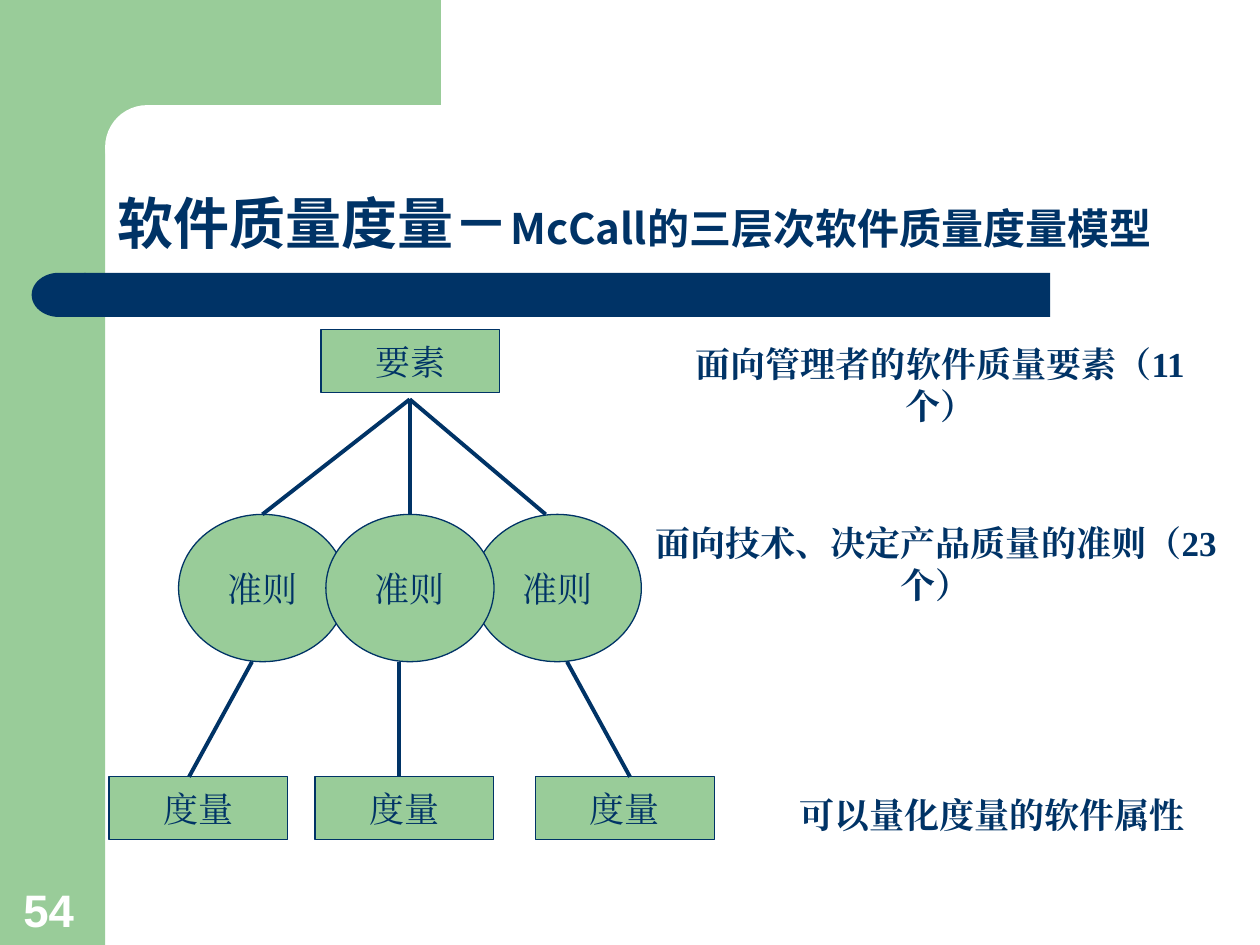
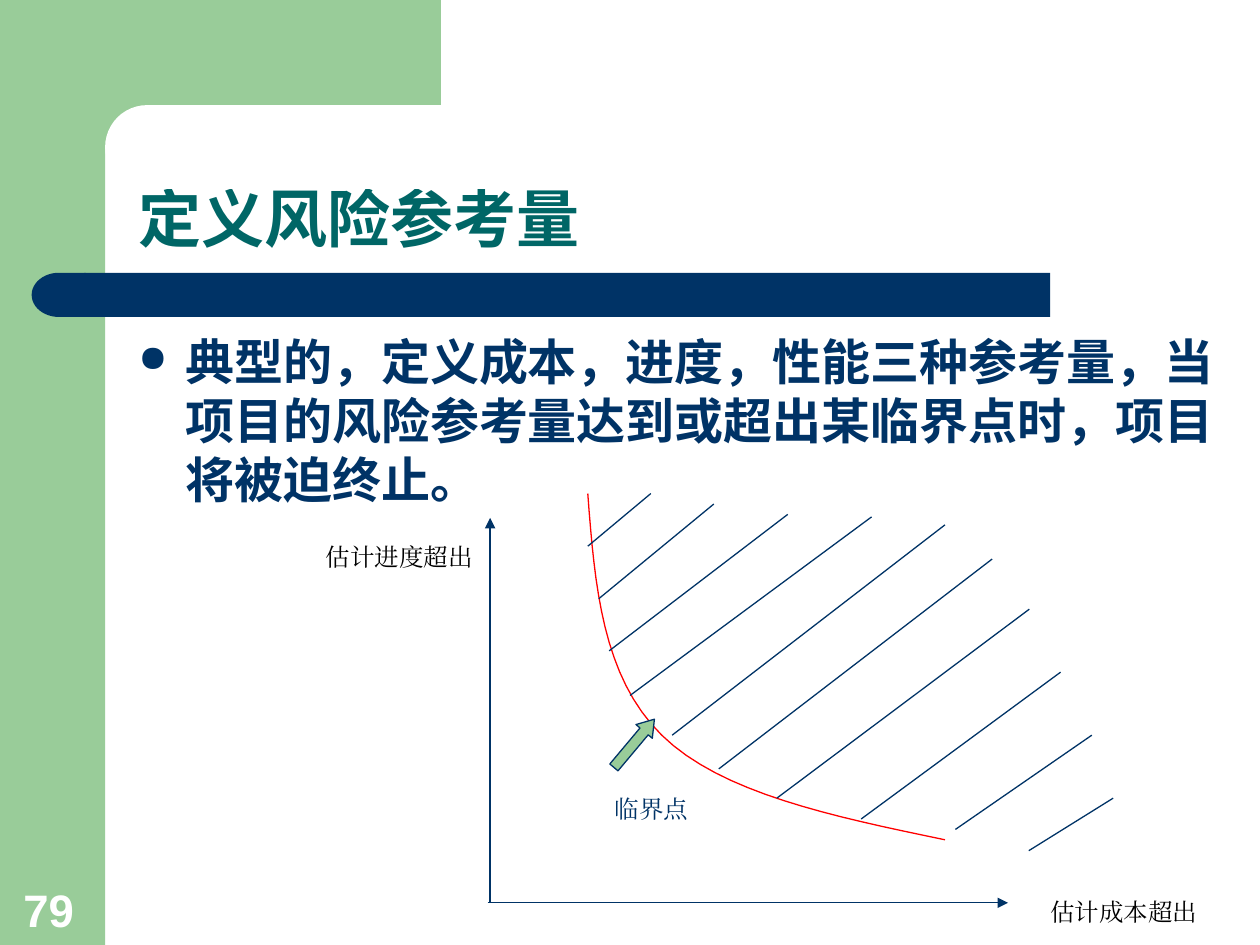
from lxml.etree import SubElement
from pptx import Presentation
from pptx.dml.color import RGBColor
from pptx.enum.lang import MSO_LANGUAGE_ID
from pptx.enum.shapes import MSO_CONNECTOR, MSO_SHAPE
from pptx.enum.text import MSO_ANCHOR, MSO_AUTO_SIZE, PP_ALIGN
from pptx.oxml.ns import qn
from pptx.util import Cm, Pt

COLORS = {"navy": "003366", "green": "99CC99", "teal": "006666",
          "white": "FFFFFF", "black": "000000", "red": "FF0000"}
SANS, SERIF, HAN = "Arial", "Times New Roman", "Noto Sans CJK SC"

# Ends of the hatch lines over the risk zone: outer x, y, then curve x, y
HATCH = [(13.12, 9.95, 11.85, 11.01), (14.39, 10.16, 12.07, 12.07),
         (15.88, 10.37, 12.28, 13.12), (17.57, 10.42, 12.7, 14.02),
         (19.05, 10.58, 13.55, 14.82), (20, 11.27, 14.49, 15.5),
         (20.75, 12.28, 15.66, 16.09), (21.38, 13.55, 17.36, 16.51),
         (22.01, 14.82, 19.26, 16.72), (22.44, 16.09, 20.74, 17.15)]
CURVE = [[(11.85, 9.95), (11.99, 11.8), (12.14, 13.64), (13.34, 14.82)],
         [(13.34, 14.82), (14.53, 15.99), (16.79, 16.46), (19.05, 16.93)]]


def rgb(name):
    return RGBColor.from_string(COLORS[name])


def write(para, parts, font, color, bold=False, align=PP_ALIGN.LEFT):
    """Fill a paragraph with (text, size) parts in one typeface."""
    para.alignment = align
    face = para.font
    face.name, face.bold, face.size = font, bold, Pt(parts[0][1])
    face.color.rgb = rgb(color)
    face.language_id = MSO_LANGUAGE_ID.SIMPLIFIED_CHINESE
    base = para._p.pPr.find(qn("a:defRPr"))
    SubElement(base, qn("a:ea")).set("typeface", font)
    for text, size in parts:
        run = para.add_run()
        run.text = text
        if size != parts[0][1]:
            run.font.size = Pt(size)


def bullet(para, indent):
    props = para._p.get_or_add_pPr()
    props.set("marL", str(indent))
    props.set("indent", str(-indent))
    color = SubElement(props, qn("a:buClr"))
    SubElement(color, qn("a:srgbClr")).set("val", COLORS["navy"])
    SubElement(props, qn("a:buSzPct")).set("val", "75000")
    SubElement(props, qn("a:buChar")).set("char", "●")


def block(slide, kind, box, fill, line=None):
    shape = slide.shapes.add_shape(kind, *map(Cm, box))
    shape.shadow.inherit = False
    shape.fill.solid()
    shape.fill.fore_color.rgb = rgb(fill)
    if line:
        shape.line.color.rgb = rgb(line)
        shape.line.width = Pt(0.75)
    else:
        shape.line.fill.background()
    return shape


def node(slide, kind, box, text):
    shape = block(slide, kind, box, "green", "navy")
    frame = shape.text_frame
    frame.word_wrap = False
    frame.vertical_anchor = MSO_ANCHOR.MIDDLE
    write(frame.paragraphs[0], [(text, 20)], SERIF, "navy",
          align=PP_ALIGN.CENTER)


def textbox(slide, box):
    frame = slide.shapes.add_textbox(*map(Cm, box)).text_frame
    frame.word_wrap = True
    return frame


def label(slide, box, text, size, color="navy", bold=False):
    para = textbox(slide, box).paragraphs[0]
    write(para, [(text, size)], SERIF, color, bold, PP_ALIGN.CENTER)


def line(slide, ends, width=0.75, arrow=False):
    link = slide.shapes.add_connector(MSO_CONNECTOR.STRAIGHT, *map(Cm, ends))
    link.line.color.rgb = rgb("navy")
    link.line.width = Pt(width)
    if arrow:
        SubElement(link.line._get_or_add_ln(),
                   qn("a:tailEnd")).set("type", "triangle")
    SubElement(link._element.spPr, qn("a:effectLst"))


def bezier(pts, steps=16):
    """Sample a cubic curve, leaving out its first point."""
    for i in range(1, steps + 1):
        t = i / steps
        mix = ((1 - t) ** 3, 3 * t * (1 - t) ** 2, 3 * t * t * (1 - t), t ** 3)
        yield tuple(Cm(sum(m * p[k] for m, p in zip(mix, pts)))
                    for k in (0, 1))


def curve(slide, parts):
    start = parts[0][0]
    pen = slide.shapes.build_freeform(Cm(start[0]), Cm(start[1]))
    for pts in parts:
        pen.add_line_segments(bezier(pts), close=False)
    shape = pen.convert_to_shape()
    shape.shadow.inherit = False
    shape.fill.background()
    shape.line.color.rgb = rgb("red")
    shape.line.width = Pt(0.75)


def base(deck, number, box, parts, font, color):
    """Add a slide with the shared bands, its number and its title."""
    slide = deck.slides.add_slide(deck.slide_layouts[5])
    rect = MSO_SHAPE.RECTANGLE
    block(slide, rect, (0, 0, 2.12, 19.05), "green")
    block(slide, rect, (1.9, 0, 6.99, 2.96), "green")
    notch = block(slide, MSO_SHAPE.ROUNDED_RECTANGLE,
                  (2.12, 2.12, 14.18, 1.69), "white")
    notch.adjustments[0] = 0.5
    block(slide, rect, (1.7, 5.5, 19.47, 0.89), "navy")
    cap = block(slide, MSO_SHAPE.FLOWCHART_DELAY,
                (0.64, 5.5, 1.09, 0.89), "navy")
    cap._element.spPr.xfrm.set("flipH", "1")

    frame = textbox(slide, (0.22, 17.63, 1.63, 1.37))
    frame.vertical_anchor = MSO_ANCHOR.BOTTOM
    write(frame.paragraphs[0], [(str(number), 26)], SANS, "white", True)

    title = slide.shapes.title
    title.left, title.top, title.width, title.height = map(Cm, box)
    frame = title.text_frame
    frame.auto_size = MSO_AUTO_SIZE.NONE
    frame.vertical_anchor = MSO_ANCHOR.BOTTOM
    para = frame.paragraphs[0]
    para.line_spacing = 0.9
    write(para, parts, font, color, True)
    return slide


def model(deck):
    slide = base(deck, 54, (2.12, 2.12, 22.86, 3.18),
                 [("软件质量度量－", 32), ("McCall的三层次软件质量度量模型", 24)],
                 HAN, "navy")
    node(slide, MSO_SHAPE.RECTANGLE, (6.47, 6.65, 3.6, 1.27), "要素")
    for col in (0, 2, 1):
        node(slide, MSO_SHAPE.OVAL,
             (3.6 + 2.97 * col, 10.37, 3.39, 2.97), "准则")
    for left in (2.2, 6.35, 10.8):
        node(slide, MSO_SHAPE.RECTANGLE, (left, 15.66, 3.6, 1.27), "度量")
    for x in (5.29, 8.26, 11):
        line(slide, (8.26, 8.05, x, 10.37), 2.25)
    for top, foot in ((5.08, 3.81), (8.05, 8.05), (11.43, 12.7)):
        line(slide, (top, 13.34, foot, 15.66), 2.25)
    for box, text in (
            ((13.23, 6.78, 11.45, 1.96), "面向管理者的软件质量要素（11个）"),
            ((12.42, 10.39, 12.9, 1.96), "面向技术、决定产品质量的准则（23个）"),
            ((15.24, 15.88, 9.53, 1.12), "可以量化度量的软件属性")):
        label(slide, box, text, 20, bold=True)


def risk(deck):
    slide = base(deck, 79, (2.54, 2.12, 22.23, 3.18),
                 [("定义风险参考量", 36)], SANS, "teal")
    para = textbox(slide, (2.54, 6.56, 22.23, 4.65)).paragraphs[0]
    bullet(para, Cm(0.95))
    write(para, [("典型的，定义成本，进度，性能三种参考量，当项目的风险参考量"
                  "达到或超出某临界点时，项目将被迫终止。", 28)],
          SANS, "navy", True)
    line(slide, (9.83, 18.2, 20.32, 18.2), arrow=True)
    line(slide, (9.88, 18.2, 9.88, 10.44), arrow=True)
    label(slide, (20.75, 17.95, 3.81, 0.86), "估计成本超出", 14, "black")
    label(slide, (6.15, 10.8, 3.81, 0.86), "估计进度超出", 14, "black")
    curve(slide, CURVE)
    for ends in HATCH:
        line(slide, ends)
    arrow = block(slide, MSO_SHAPE.UP_ARROW,
                  (12.57, 14.35, 0.43, 1.27), "green", "navy")
    arrow.adjustments[1] = 0.75
    arrow.rotation = 40
    label(slide, (11.23, 15.88, 3.81, 0.86), "临界点", 14)


def main():
    deck = Presentation()
    deck.slide_width, deck.slide_height = Cm(25.4), Cm(19.05)
    model(deck)
    risk(deck)
    deck.save("out.pptx")


if __name__ == "__main__":
    main()
